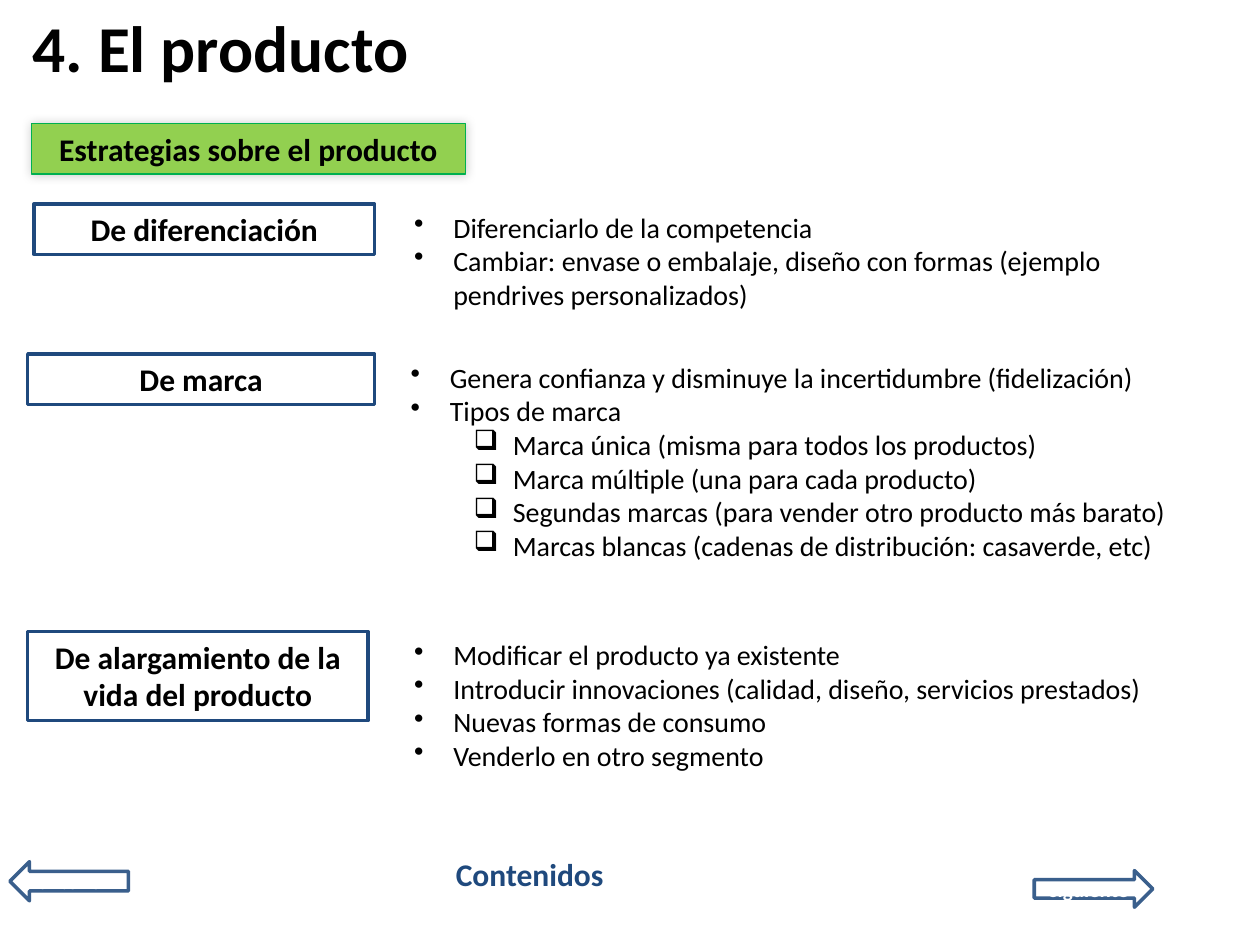
from lxml import etree
from pptx import Presentation
from pptx import util as u
from pptx.dml.color import RGBColor
from pptx.enum import shapes, text
from pptx.oxml import ns

COLOURS = {"ink": "000000", "navy": "1F497D", "steel": "3A5F8C",
           "white": "FFFFFF", "lime": "92D050", "green": "00B050"}
SHAPE = shapes.MSO_SHAPE
LABEL = {"size": u.Pt(18), "bold": True}
BODY = {"size": u.Pt(16), "bold": False}
ARROW = {"size": u.Pt(12), "bold": True}
INDENT = u.Cm(0.79)

deck = Presentation()
deck.slide_width, deck.slide_height = u.Cm(25.4), u.Cm(19.05)
page = deck.slides.add_slide(deck.slide_layouts[6])


def write(box, lines, font, colour="ink", align=text.PP_ALIGN.LEFT,
          anchor=text.MSO_ANCHOR.TOP):
    """Fill a box with (level, bullet, wording) lines and return it."""
    frame = box.text_frame
    frame.word_wrap = True
    frame.vertical_anchor = anchor
    for number, (level, bullet, wording) in enumerate(lines):
        para = frame.add_paragraph() if number else frame.paragraphs[0]
        para.alignment, para.level = align, level
        span = para.add_run()
        span.text = wording
        for key, value in {"name": "Calibri", **font}.items():
            setattr(span.font, key, value)
        span.font.color.rgb = RGBColor.from_string(COLOURS[colour])
        if bullet:
            props = para._p.get_or_add_pPr()
            props.set("marL", str(INDENT + level * u.Cm(1.27)))
            props.set("indent", str(-INDENT))
            etree.SubElement(props, ns.qn("a:buChar")).set("char", bullet)
    return box


def add_label(kind, place, wording, line, width, font=LABEL, colour="ink",
              anchor=text.MSO_ANCHOR.TOP):
    """Add an unfilled, outlined shape with centred text."""
    box = page.shapes.add_shape(kind, *map(u.Cm, place))
    box.shadow.inherit = False
    box.fill.background()
    box.line.color.rgb = RGBColor.from_string(COLOURS[line])
    box.line.width = u.Pt(width)
    return write(box, [(0, None, wording)], font, colour,
                 text.PP_ALIGN.CENTER, anchor)


# Title and link to the contents
title = page.shapes.add_textbox(u.Cm(0.41), u.Cm(0.13), u.Cm(23.93), u.Cm(1.6))
write(title, [(0, None, "4. El producto")], {"size": u.Pt(37.4), "bold": True},
      anchor=text.MSO_ANCHOR.MIDDLE)
contents = page.shapes.add_textbox(u.Cm(8.94), u.Cm(17.12), u.Cm(3.66), u.Cm(1.02))
write(contents, [(0, None, "Contenidos")], LABEL, "navy")

# Navigation arrows
for kind, place, wording in [
    (SHAPE.LEFT_ARROW, (0.2, 17.37, 2.39, 0.79), "anterior"),
    (SHAPE.RIGHT_ARROW, (20.85, 17.55, 2.39, 0.74), "siguiente"),
]:
    add_label(kind, place, wording, "steel", 2, ARROW, "white",
              text.MSO_ANCHOR.MIDDLE)

# Green heading with a soft shadow
heading = add_label(SHAPE.RECTANGLE, (0.64, 2.49, 8.74, 1.02),
                    "Estrategias sobre el producto", "green", 0.75)
heading.fill.solid()
heading.fill.fore_color.rgb = RGBColor.from_string(COLOURS["lime"])
effects = heading._element.spPr.find(ns.qn("a:effectLst"))
shadow = etree.SubElement(effects, ns.qn("a:outerShdw"))
for key, value in {"blurRad": u.Pt(6), "dist": 0, "dir": 225 * 60000}.items():
    shadow.set(key, str(value))
shade = etree.SubElement(shadow, ns.qn("a:srgbClr"))
shade.set("val", COLOURS["ink"])
etree.SubElement(shade, ns.qn("a:alpha")).set("val", "20000")

# Each strategy: label on the left, explanation on the right
strategies = [
    ("De diferenciación", (0.69, 4.11, 6.86, 1.02), (8.1, 4.11, 16.23, 2.31), [
        (0, "•", "Diferenciarlo de la competencia"),
        (0, "•", "Cambiar: envase o embalaje, diseño con formas "
                 "(ejemplo pendrives personalizados)"),
    ]),
    ("De marca", (0.56, 7.14, 6.99, 1.02), (8.03, 7.14, 16.31, 4.37), [
        (0, "•", "Genera confianza y disminuye la incertidumbre (fidelización)"),
        (0, "•", "Tipos de marca"),
        (1, "❑", "Marca única (misma para todos los productos)"),
        (1, "❑", "Marca múltiple (una para cada producto)"),
        (1, "❑", "Segundas marcas (para vender otro producto más barato)"),
        (1, "❑", "Marcas blancas (cadenas de distribución: casaverde, etc)"),
    ]),
    ("De alargamiento de la vida del producto",
     (0.56, 12.73, 6.86, 1.8), (8.1, 12.73, 16.23, 3), [
         (0, "•", "Modificar el producto ya existente"),
         (0, "•", "Introducir innovaciones (calidad, diseño, servicios prestados)"),
         (0, "•", "Nuevas formas de consumo"),
         (0, "•", "Venderlo en otro segmento"),
     ]),
]
for name, label_place, list_place, lines in strategies:
    add_label(SHAPE.RECTANGLE, label_place, name, "navy", 2)
    write(page.shapes.add_textbox(*map(u.Cm, list_place)), lines, BODY)

deck.save("out.pptx")
